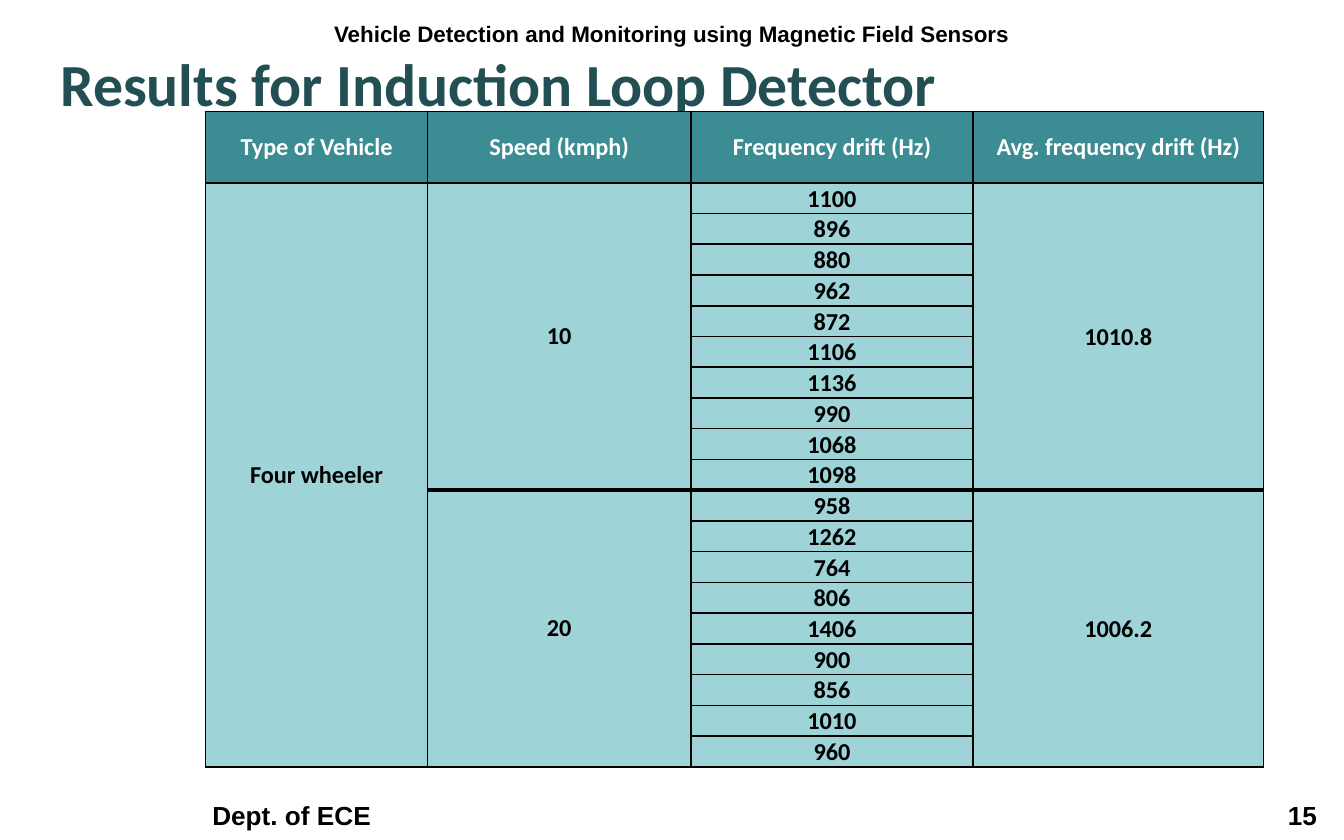
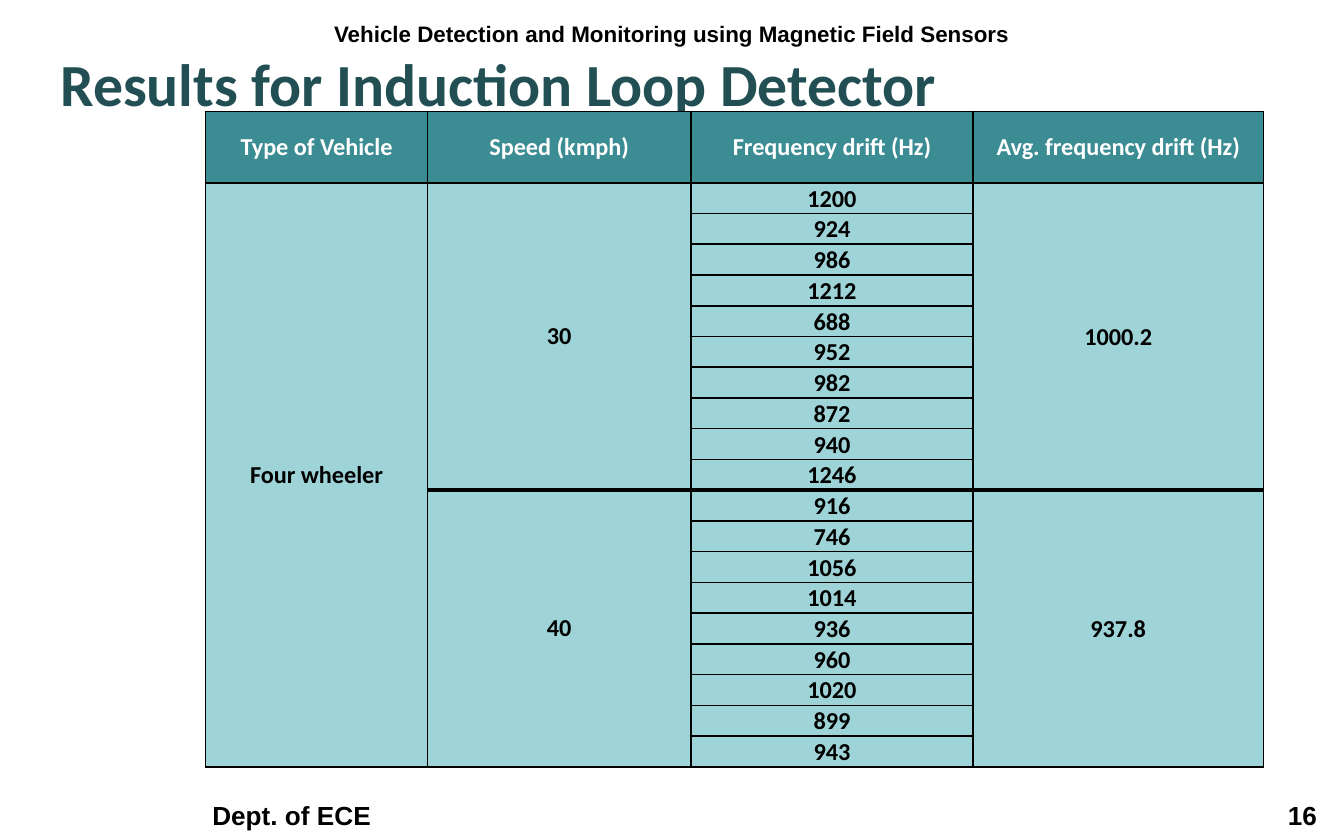
from lxml.etree import SubElement
from pptx import Presentation
from pptx.dml.color import RGBColor
from pptx.enum.text import MSO_ANCHOR as Anchor, PP_ALIGN as Align
from pptx.oxml import parse_xml
from pptx.oxml.ns import nsdecls, qn
from pptx.util import Inches, Pt

COLORS = {"text": "000000", "title": "214F53", "header": "3C8C93",
          "header_text": "FFFFFF", "body": "9ED3D7", "border": "000000"}
HEADINGS = ["Type of Vehicle", "Speed (kmph)", "Frequency drift (Hz)",
            "Avg. frequency drift (Hz)"]
COLUMN_WIDTHS = [1.65, 1.96, 2.1, 2.16]
TABLE_LEFT, TABLE_TOP, TABLE_HEIGHT, HEADER_HEIGHT = 1.53, 0.83, 4.88, 0.53
WIDE_MARGINS = (0.1, 0.04, 0.1, 0.04)
TIGHT_MARGINS = (0.01, 0.01, 0.01, 0)
THIN, THICK = 1, 2.25

RESULTS = [
    (15, [("10", [1100, 896, 880, 962, 872, 1106, 1136, 990, 1068, 1098], "1010.8"),
          ("20", [958, 1262, 764, 806, 1406, 900, 856, 1010, 960], "1006.2")]),
    (16, [("30", [1200, 924, 986, 1212, 688, 952, 982, 872, 940, 1246], "1000.2"),
          ("40", [916, 746, 1056, 1014, 936, 960, 1020, 899, 943], "937.8")]),
]


def style_paragraph(paragraph, size, font, color, align=Align.LEFT):
    """Set the bold font and the alignment of a paragraph."""
    paragraph.alignment = align
    paragraph.font.size = Pt(size)
    paragraph.font.name = font
    paragraph.font.bold = True
    paragraph.font.color.rgb = RGBColor.from_string(COLORS[color])


def add_text(slide, text, box, size, font, color="text", align=Align.LEFT,
             anchor=Anchor.TOP):
    """Add a one-paragraph text box and return its text frame."""
    frame = slide.shapes.add_textbox(*map(Inches, box)).text_frame
    frame.word_wrap = True
    frame.vertical_anchor = anchor
    frame.text = text
    style_paragraph(frame.paragraphs[0], size, font, color, align)
    return frame


def add_footer(slide, number):
    """Add the department and the right-aligned slide number."""
    footer = add_text(slide, f"Dept. of ECE\t{number}", (0, 5.9, 10, 0.33),
                      14, "Arial", anchor=Anchor.BOTTOM)
    footer.margin_left = Inches(1.58)
    properties = footer.paragraphs[0]._p.get_or_add_pPr()
    stops = parse_xml(f'<a:tabLst {nsdecls("a")}>'
                      f'<a:tab pos="{Inches(8.22)}" algn="r"/></a:tabLst>')
    properties.insert(0, stops)


def add_frame(slide, number):
    """Add the running header, the title and the footer."""
    add_footer(slide, number)
    add_text(slide, "Vehicle Detection and Monitoring using Magnetic Field Sensors",
             (0, 0.1, 10, 0.33), 12, "Arial", align=Align.CENTER)
    title = add_text(slide, "Results for Induction Loop Detector",
                     (0.35, 0.3, 9.42, 0.56), 32, "Calibri", "title")
    title.paragraphs[0].space_before = Pt(8)


def set_borders(cell, top=THIN, bottom=THIN):
    """Draw the four borders of a cell."""
    properties = cell._tc.get_or_add_tcPr()
    sides = [("L", THIN), ("R", THIN), ("T", top), ("B", bottom)]
    for position, (side, width) in enumerate(sides):
        line = SubElement(properties, qn(f"a:ln{side}"), w=str(Pt(width)))
        fill = SubElement(line, qn("a:solidFill"))
        SubElement(fill, qn("a:srgbClr"), val=COLORS["border"])
        properties.insert(position, line)


def style_cell(cell, fill="body", color="text", margins=WIDE_MARGINS,
               anchor=Anchor.MIDDLE):
    """Set the fill, margins and font of a cell."""
    cell.fill.solid()
    cell.fill.fore_color.rgb = RGBColor.from_string(COLORS[fill])
    cell.margin_left, cell.margin_top, cell.margin_right, cell.margin_bottom = map(
        Inches, margins)
    cell.vertical_anchor = anchor
    style_paragraph(cell.text_frame.paragraphs[0], 13, "Calibri", color, Align.CENTER)


def fill_speed_group(table, first, speed, drifts, average):
    """Fill the rows of one speed and return the row after them."""
    last = first + len(drifts) - 1
    for row, drift in enumerate(drifts, first):
        table.cell(row, 2).text = str(drift)
    for column, text in ((1, speed), (3, average)):
        table.cell(first, column).text = text
        table.cell(first, column).merge(table.cell(last, column))
    return last + 1


def add_results_table(slide, groups):
    """Add the table of frequency drifts grouped by speed."""
    count = sum(len(drifts) for _, drifts, _ in groups)
    table = slide.shapes.add_table(
        count + 1, len(HEADINGS), Inches(TABLE_LEFT), Inches(TABLE_TOP),
        Inches(sum(COLUMN_WIDTHS)), Inches(TABLE_HEIGHT)).table
    table.horz_banding = False
    for column, width in zip(table.columns, COLUMN_WIDTHS):
        column.width = Inches(width)
    for row in table.rows:
        row.height = Inches((TABLE_HEIGHT - HEADER_HEIGHT) / count)
    table.rows[0].height = Inches(HEADER_HEIGHT)

    for column, heading in enumerate(HEADINGS):
        table.cell(0, column).text = heading
    table.cell(1, 0).text = "Four wheeler"
    table.cell(1, 0).merge(table.cell(count, 0))
    next_row = 1
    for group in groups:
        next_row = fill_speed_group(table, next_row, *group)

    split = len(groups[0][1])
    for row in range(count + 1):
        for column in range(len(HEADINGS)):
            cell = table.cell(row, column)
            if row == 0:
                style_cell(cell, "header", "header_text")
            else:
                style_cell(cell, margins=TIGHT_MARGINS if column > 1 else WIDE_MARGINS,
                           anchor=Anchor.BOTTOM if column == 2 else Anchor.MIDDLE)
            last_row = row + cell.span_height - 1 if cell.is_merge_origin else row
            set_borders(cell,
                        top=THICK if column and row == split + 1 else THIN,
                        bottom=THICK if column and last_row == split else THIN)


def main():
    """Build the result slides and save them."""
    deck = Presentation()
    deck.slide_width, deck.slide_height = Inches(10), Inches(6.25)
    for number, groups in RESULTS:
        slide = deck.slides.add_slide(deck.slide_layouts[6])
        add_frame(slide, number)
        add_results_table(slide, groups)
    deck.save("out.pptx")


if __name__ == "__main__":
    main()
